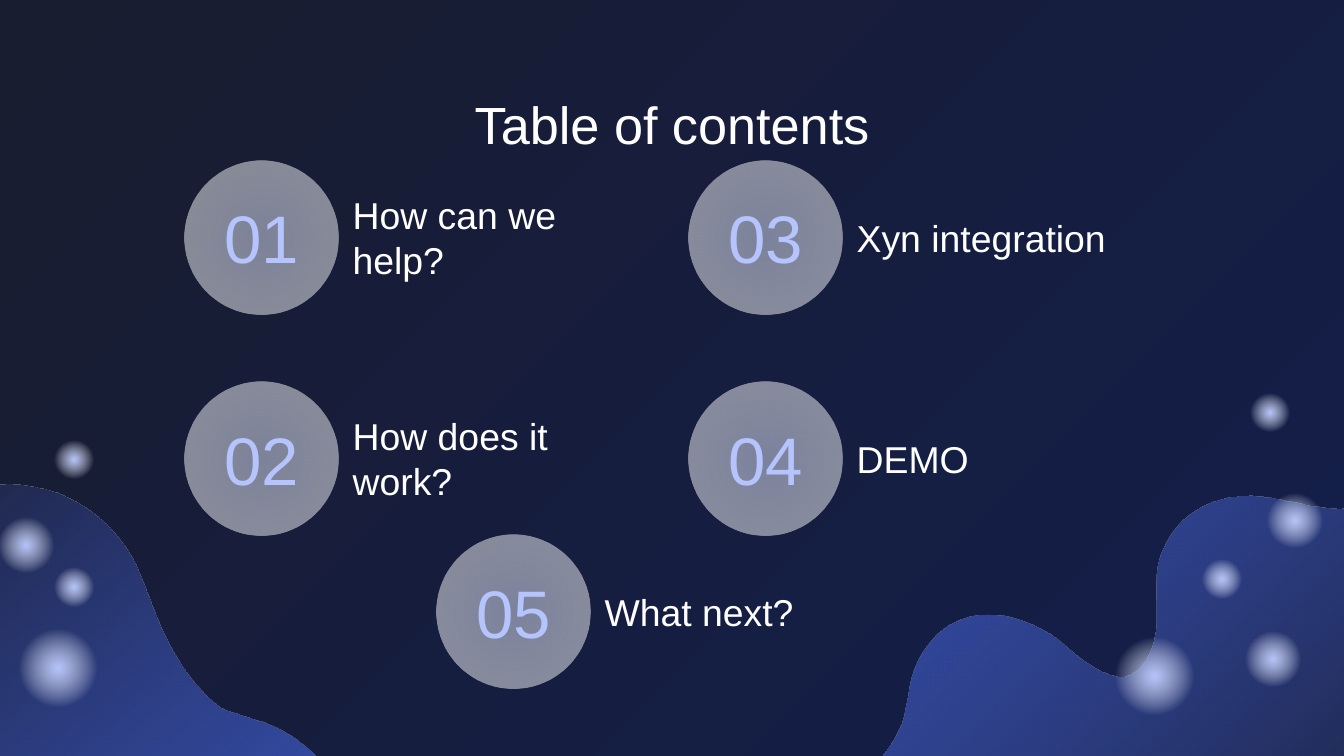
from lxml import etree
from pptx import Presentation
from pptx import util as u
from pptx.dml.color import RGBColor
from pptx.enum import shapes, text
from pptx.oxml import ns

Pt = u.Pt


def paint(fill, props, stops, angle=None):
    fill.gradient()
    grad = props.find(ns.qn("a:gradFill"))
    grad.clear()
    grad.set("rotWithShape", "1")
    gs_list = etree.SubElement(grad, ns.qn("a:gsLst"))
    for pos, color, alpha in stops:
        gs = etree.SubElement(gs_list, ns.qn("a:gs"), pos=str(pos * 1000))
        clr = etree.SubElement(gs, ns.qn("a:srgbClr"), val=color)
        if alpha < 100:
            etree.SubElement(clr, ns.qn("a:alpha"), val=str(alpha * 1000))
    if angle is None:
        circle = etree.SubElement(grad, ns.qn("a:path"), path="circle")
        etree.SubElement(circle, ns.qn("a:fillToRect"), l="50000", t="50000", r="50000", b="50000")
    else:
        etree.SubElement(grad, ns.qn("a:lin"), ang=str(angle * 60000), scaled="0")


def write(sp, words, size, color, align, anchor):
    tf = sp.text_frame
    frame = {"word_wrap": True, "auto_size": text.MSO_AUTO_SIZE.NONE, "vertical_anchor": anchor}
    for side in ("left", "top", "right", "bottom"):
        frame[f"margin_{side}"] = Pt(7.2)
    for name, value in frame.items():
        setattr(tf, name, value)
    p = tf.paragraphs[0]
    p.alignment = align
    r = p.add_run()
    r.text = words
    for name, value in {"name": "Arial", "size": Pt(size)}.items():
        setattr(r.font, name, value)
    r.font.color.rgb = RGBColor.from_string(color)


prs = Presentation()
prs.slide_width, prs.slide_height = Pt(720), Pt(405)
s = prs.slides.add_slide(prs.slide_layouts[5])

bg_fill = s.background.fill
bg_fill.solid()
bg_props = s.element.find(".//" + ns.qn("p:bgPr"))
paint(bg_fill, bg_props, [(0, "191D30", 100), (100, "131E4B", 100)], 45)

right_wave = [
    (10.1, 3.77), (9.94, 3.81), (9.78, 3.77), (9.62, 3.74), (9.51, 3.72), (9.4, 3.69), (9.29, 3.69),
    (9, 3.69), (8.76, 3.83), (8.65, 4.09), (8.53, 4.35), (8.69, 4.65), (8.52, 4.92),
    (8.34, 5.2), (8.04, 4.9), (7.87, 4.76), (7.66, 4.6), (7.32, 4.5), (7.08, 4.64),
    (6.96, 4.71), (6.86, 4.83), (6.81, 4.96), (6.75, 5.09), (6.76, 5.24), (6.71, 5.38),
    (6.66, 5.5), (6.57, 5.66), (6.44, 5.72),
]
left_wave = [
    (-0.48, 3.77), (-0.3, 3.64), (-0.07, 3.59), (0.15, 3.61), (0.25, 3.62), (0.34, 3.64), (0.43, 3.67),
    (0.62, 3.75), (0.78, 3.87), (0.9, 4.03), (1.03, 4.2), (1.08, 4.39), (1.16, 4.59),
    (1.24, 4.78), (1.34, 4.97), (1.48, 5.12), (1.54, 5.19), (1.61, 5.26), (1.7, 5.29),
    (1.75, 5.31), (1.8, 5.32), (1.85, 5.34), (1.92, 5.36), (1.98, 5.38), (2.05, 5.41),
    (2.18, 5.48), (2.3, 5.56), (2.39, 5.68), (2.51, 5.86), (2.54, 6.1), (2.48, 6.31),
]
waves = [
    (right_wave, [(4.57, 7.06), (10.83, 7.06), (10.74, 3.25)], 225),
    (left_wave, [(1, 8.01), (-1.62, 6.5)], 50),
]
for wave, corners, angle in waves:
    outline = [wave[0]]
    for i in range(0, len(wave) - 1, 3):
        for step in range(1, 13):
            t = step / 12
            weights = ((1 - t) ** 3, 3 * t * (1 - t) ** 2, 3 * t * t * (1 - t), t ** 3)
            outline.append([sum(w * pt[axis] for w, pt in zip(weights, wave[i:i + 4])) for axis in (0, 1)])
    points = [(Pt(x * 72), Pt(y * 72)) for x, y in outline + corners]
    builder = s.shapes.build_freeform(*points[0])
    builder.add_line_segments(points[1:], close=True)
    sp = builder.convert_to_shape()
    sp.shadow.inherit = False
    sp.line.fill.background()
    paint(sp.fill, sp.element.spPr, [(0, "191D30", 100), (100, "4B6EF8", 70)], angle)

glow = [(0, "B5C4FC", 100), (57, "FFFFFF", 0), (100, "FFFFFF", 0)]
disc = [(0, "E7ECFF", 49), (77, "FFFFFF", 49), (100, "FFFFFF", 49)]
items = [
    (99, 86, "01", "How can we help?"),
    (99, 204.5, "02", "How does it work?"),
    (369, 86, "03", "Xyn integration"),
    (369, 204.5, "04", "DEMO"),
    (234, 286.6, "05", "What next?"),
]
circles = [
    (5, 332, 52, glow), (-4.3, 273.6, 36.7, glow), (26.6, 233.3, 26, glow), (26.6, 301.7, 26, glow),
    (592.6, 336.2, 52, glow), (663.8, 334.8, 36.7, glow), (667.4, 208, 26, glow),
    (641.5, 297.4, 26, glow), (675.4, 260.6, 36.7, glow),
]
circles += [(x, y, 82.4, disc) for x, y, number, topic in items]
for x, y, size, stops in circles:
    sp = s.shapes.add_shape(shapes.MSO_SHAPE.OVAL, Pt(x), Pt(y), Pt(size), Pt(size))
    sp.shadow.inherit = False
    sp.line.fill.background()
    paint(sp.fill, sp.element.spPr, stops)

title = s.shapes.title
for name, value in {"left": 56.5, "top": 42, "width": 607, "height": 45.4}.items():
    setattr(title, name, Pt(value))
write(title, "Table of contents", 28, "FFFFFF", text.PP_ALIGN.CENTER, text.MSO_ANCHOR.TOP)

for x, y, number, topic in items:
    labels = [
        (x, 82.4, number, 36, "B5C4FC", text.PP_ALIGN.CENTER),
        (x + 82.8, 169.2, topic, 20, "FFFFFF", text.PP_ALIGN.LEFT),
    ]
    for left, width, words, size, color, align in labels:
        sp = s.shapes.add_textbox(Pt(left), Pt(y + 15.1), Pt(width), Pt(51.8))
        write(sp, words, size, color, align, text.MSO_ANCHOR.MIDDLE)

prs.save("out.pptx")
